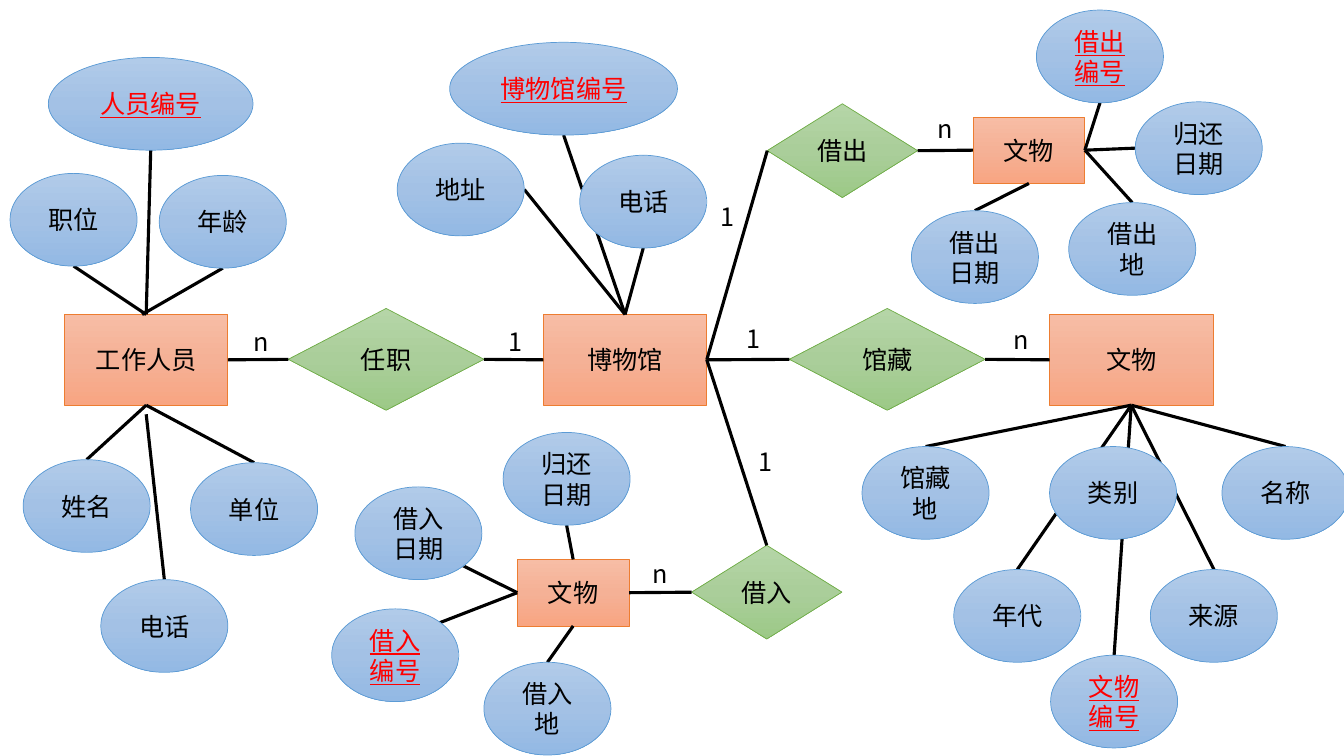
import copy

import pptx
import pptx.dml.color
import pptx.enum.shapes
import pptx.enum.text
import pptx.oxml
import pptx.oxml.ns
import pptx.util

Inches = pptx.util.Inches
Pt = pptx.util.Pt
qn = pptx.oxml.ns.qn
KIND = pptx.enum.shapes.MSO_SHAPE
FONT = "Noto Sans CJK SC"
ORANGE = ("F7BDA5", "F5B196", "F8A582"), "ED7D31"
GREEN = ("B5D5A7", "AACE9A", "9CC987"), "70AD47"
BLUE = ("B1CBE9", "A3C1E5", "93B9E4"), "5B9BD5"
SIDES = {
    "top": (0.5, 0), "bottom": (0.5, 1), "left": (0, 0.5), "right": (1, 0.5),
    "upper": (0.85, 0.15), "lower": (0.85, 0.85),
}


def paint(target, color):
    target.rgb = pptx.dml.color.RGBColor.from_string(color)


def side(box, name):
    x, y, w, h = box
    across, down = SIDES[name]
    return x + w * across, y + h * down


def write(frame, text, color="000000", under=None, align=None):
    frame.word_wrap = True
    para = frame.paragraphs[0]
    para.alignment = align
    run = para.add_run()
    run.text = text
    font = run.font
    font.size, font.name, font.underline = Pt(18), FONT, under
    paint(font.color, color)
    east = pptx.oxml.parse_xml(
        '<a:ea xmlns:a="http://schemas.openxmlformats.org/drawingml/2006/main"/>')
    east.set("typeface", FONT)
    run._r.get_or_add_rPr().find(qn("a:latin")).addnext(east)


def blend(shape, colors):
    shape.fill.gradient()
    shape.fill.gradient_angle = 270
    first = shape._element.spPr.find(".//" + qn("a:gs"))
    first.addnext(copy.deepcopy(first))
    for stop, color, spot in zip(shape.fill.gradient_stops, colors, (0, 0.5, 1)):
        paint(stop.color, color)
        stop.position = spot


def node(slide, kind, text, box, theme, **style):
    shape = slide.shapes.add_shape(kind, *map(Inches, box))
    shape.shadow.inherit = False
    colors, edge = theme
    blend(shape, colors)
    paint(shape.line.color, edge)
    shape.line.width = Pt(0.5)
    shape.text_frame.vertical_anchor = pptx.enum.text.MSO_ANCHOR.MIDDLE
    write(shape.text_frame, text, align=pptx.enum.text.PP_ALIGN.CENTER, **style)
    return box


def thing(slide, text, x, y, w=1.62, h=0.9):
    return node(slide, KIND.RECTANGLE, text, (x, y, w, h), ORANGE)


def bond(slide, text, x, y, w=1.94, h=1.01):
    return node(slide, KIND.FLOWCHART_DECISION, text, (x, y, w, h), GREEN)


def link(slide, start, end):
    line = slide.shapes.add_connector(
        pptx.enum.shapes.MSO_CONNECTOR.STRAIGHT, *map(Inches, start + end))
    paint(line.line.color, "000000")
    line.line.width = Pt(2.25)
    line._element.spPr.append(pptx.oxml.parse_xml(
        '<a:effectLst xmlns:a="http://schemas.openxmlformats.org/drawingml/2006/main"/>'))


def trait(slide, hub, text, x, y, end, w=1.26, key=False):
    box = (x, y, w, 0.92)
    if hub:
        link(slide, hub, side(box, end))
    style = {"color": "FF0000", "under": True} if key else {}
    node(slide, KIND.OVAL, text, box, BLUE, **style)


def label(slide, text, x, y):
    box = slide.shapes.add_textbox(*map(Inches, (x, y, 0.35, 0.4)))
    write(box.text_frame, text)


def main():
    deck = pptx.Presentation()
    deck.slide_width, deck.slide_height = Inches(13.33), Inches(7.5)
    slide = deck.slides.add_slide(deck.slide_layouts[6])

    staff = thing(slide, "工作人员", 0.64, 3.12)
    museum = thing(slide, "博物馆", 5.39, 3.12)
    relic = thing(slide, "文物", 10.41, 3.12)
    lent = thing(slide, "文物", 9.65, 1.16, 1.11, 0.66)
    loan = thing(slide, "文物", 5.13, 5.55, 1.11, 0.66)
    serve = bond(slide, "任职", 2.86, 3.06)
    hold = bond(slide, "馆藏", 7.83, 3.06)
    lend = bond(slide, "借出", 7.61, 1.03, 1.49, 0.93)
    borrow = bond(slide, "借入", 6.86, 5.41, 1.49, 0.93)

    for first, out, last, into in (
        (staff, "right", serve, "left"),
        (serve, "right", museum, "left"),
        (museum, "right", hold, "left"),
        (hold, "right", relic, "left"),
        (museum, "right", lend, "left"),
        (lend, "right", lent, "left"),
        (museum, "right", borrow, "top"),
        (loan, "right", borrow, "left"),
    ):
        link(slide, side(first, out), side(last, into))

    crown, base = side(staff, "top"), side(staff, "bottom")
    roof, floor = side(museum, "top"), side(relic, "bottom")
    east, west = side(lent, "right"), side(loan, "left")
    for hub, text, x, y, end in (
        (crown, "职位", 0.1, 1.72, "bottom"),
        ((1.41, 3.12), "年龄", 1.58, 1.74, "bottom"),
        (base, "姓名", 0.23, 4.56, "top"),
        ((1.45, 4.11), "电话", 1, 5.75, "top"),
        (base, "单位", 1.89, 4.59, "top"),
        (roof, "地址", 3.94, 1.42, "right"),
        (floor, "馆藏地", 8.55, 4.43, "top"),
        (floor, "名称", 12.12, 4.43, "top"),
        (floor, "年代", 9.46, 5.65, "top"),
        (floor, "来源", 11.41, 5.65, "top"),
        (east, "归还日期", 11.26, 1.01, "left"),
        (side(lent, "bottom"), "借出日期", 9.04, 2.09, "top"),
        (east, "借出地", 10.6, 2.01, "top"),
        (west, "借入日期", 3.52, 4.83, "lower"),
        (side(loan, "top"), "归还日期", 4.99, 4.29, "bottom"),
        (side(loan, "bottom"), "借入地", 4.8, 6.57, "top"),
    ):
        trait(slide, hub, text, x, y, end)
    for hub, text, x, y, end, w in (
        (crown, "人员编号", 0.48, 0.57, "bottom", 2.03),
        (roof, "博物馆编号", 4.46, 0.42, "bottom", 2.26),
        (floor, "文物编号", 10.42, 6.5, "top", 1.26),
        (east, "借出编号", 10.28, 0.1, "bottom", 1.26),
        (west, "借入编号", 3.29, 6.04, "upper", 1.26),
    ):
        trait(slide, hub, text, x, y, end, w, key=True)
    trait(slide, roof, "电话", 5.75, 1.54, "bottom")
    trait(slide, None, "类别", 10.41, 4.43, "top")

    for text, spots in (
        ("1", ((4.94, 3.19), (7.31, 3.16), (7.05, 1.95), (7.42, 4.38))),
        ("n", ((2.42, 3.19), (9.95, 3.17), (9.2, 1.08), (6.37, 5.49))),
    ):
        for x, y in spots:
            label(slide, text, x, y)

    deck.save("out.pptx")


main()
